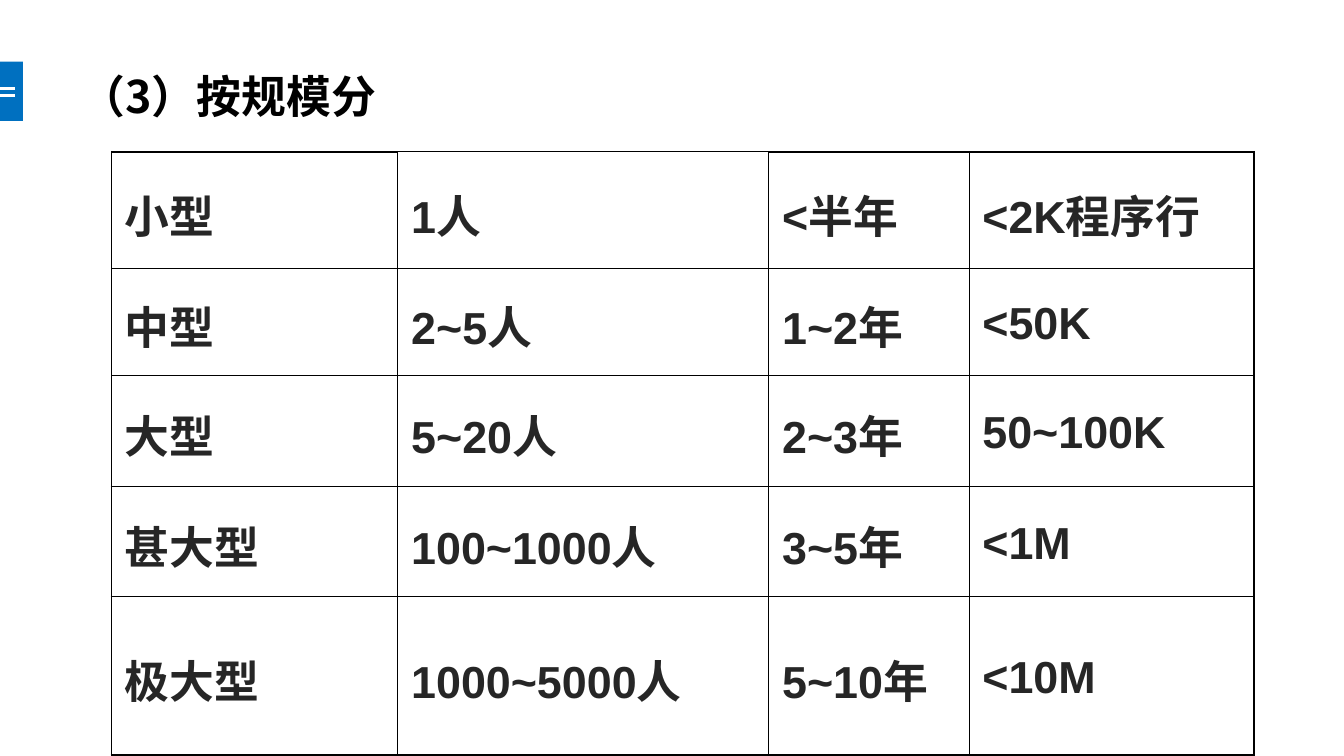
from dataclasses import dataclass

from lxml import etree
from pptx import Presentation
from pptx import util as u
from pptx.dml.color import RGBColor
from pptx.enum import shapes, text
from pptx.oxml import ns


@dataclass(frozen=True)
class Theme:
    accent: str = "0070C0"
    paper: str = "FFFFFF"
    ink: str = "000000"
    cell_ink: str = "262626"
    latin: str = "Arial"
    chinese: str = "Noto Sans CJK SC"
    size: float = 24
    thin: float = 0.45
    thick: float = 1.08
    mark: float = 1.5


@dataclass(frozen=True)
class ProjectSize:
    name: str
    people: str
    duration: str
    code: str
    height: float

    @property
    def values(self) -> tuple[str, ...]:
        return self.name, self.people, self.duration, self.code


THEME = Theme()
SLIDE_WIDTH = 10
SLIDE_HEIGHT = SLIDE_WIDTH * 9 / 16
COLUMN_WIDTHS = (2.13, 2.76, 1.49, 2.12)
PROJECT_SIZES = (
    ProjectSize("小型", "1人", "<半年", "<2K程序行", 0.87),
    ProjectSize("中型", "2~5人", "1~2年", "<50K", 0.79),
    ProjectSize("大型", "5~20人", "2~3年", "50~100K", 0.83),
    ProjectSize("甚大型", "100~1000人", "3~5年", "<1M", 0.82),
    ProjectSize("极大型", "1000~5000人", "5~10年", "<10M", 1.18),
)


def apply(target, values: dict) -> None:
    for name, value in values.items():
        setattr(target, name, value)


def write(paragraph, words: str, latin: str, color: str) -> None:
    paragraph.alignment = text.PP_ALIGN.LEFT
    run = paragraph.add_run()
    run.text = words
    apply(run.font, {"name": latin, "size": u.Pt(THEME.size), "bold": True})
    run.font.color.rgb = RGBColor.from_string(color)
    east_asian = etree.Element(ns.qn("a:ea"), typeface=THEME.chinese)
    run.font._element.find(ns.qn("a:latin")).addnext(east_asian)


def draw_marker(slide) -> None:
    box = map(u.Inches, (0, 0.46, 0.17, 0.44))
    shape = slide.shapes.add_shape(shapes.MSO_SHAPE.RECTANGLE, *box)
    shape.shadow.inherit = False
    shape.fill.solid()
    shape.fill.fore_color.rgb = RGBColor.from_string(THEME.accent)
    shape.line.fill.background()
    for y in (0.66, 0.71):
        ends = map(u.Inches, (0, y, 0.11, y))
        connector = slide.shapes.add_connector(shapes.MSO_CONNECTOR.STRAIGHT, *ends)
        connector.line.color.rgb = RGBColor.from_string(THEME.paper)
        connector.line.width = u.Pt(THEME.mark)
        etree.SubElement(connector._element.spPr, ns.qn("a:effectLst"))


def draw_title(slide, words: str) -> None:
    title = slide.shapes.title
    apply(title, {
        "left": u.Inches(0.5), "top": u.Inches(0.48),
        "width": u.Inches(8.33), "height": u.Inches(0.46),
    })
    apply(title.text_frame, {
        "word_wrap": True,
        "auto_size": text.MSO_AUTO_SIZE.NONE,
        "vertical_anchor": text.MSO_ANCHOR.MIDDLE,
    })
    write(title.text_frame.paragraphs[0], words, THEME.chinese, THEME.ink)


def draw_borders(cell, row: int, column: int) -> None:
    last_row, last_column = len(PROJECT_SIZES) - 1, len(COLUMN_WIDTHS) - 1
    heavy = {
        "lnL": column == 0 and row >= 2,
        "lnR": column == last_column,
        "lnT": row == 0 and column != 1,
        "lnB": row == last_row,
    }
    properties = cell._tc.get_or_add_tcPr()
    for position, (side, is_heavy) in enumerate(heavy.items()):
        width = u.Pt(THEME.thick if is_heavy else THEME.thin)
        border = etree.Element(ns.qn(f"a:{side}"), w=str(width))
        fill = etree.SubElement(border, ns.qn("a:solidFill"))
        etree.SubElement(fill, ns.qn("a:srgbClr"), val=THEME.ink)
        properties.insert(position, border)


def draw_cell(cell, words: str, row: int, column: int) -> None:
    apply(cell, {
        "vertical_anchor": text.MSO_ANCHOR.MIDDLE,
        "margin_left": u.Inches(0.1), "margin_right": u.Inches(0.1),
        "margin_top": u.Inches(0.05), "margin_bottom": u.Inches(0.05),
    })
    cell.fill.solid()
    cell.fill.fore_color.rgb = RGBColor.from_string(THEME.paper)
    paragraph = cell.text_frame.paragraphs[0]
    paragraph.line_spacing = 1.1
    write(paragraph, words, THEME.latin, THEME.cell_ink)
    draw_borders(cell, row, column)


def draw_table(slide) -> None:
    height = sum(project.height for project in PROJECT_SIZES)
    box = map(u.Inches, (0.83, 1.13, sum(COLUMN_WIDTHS), height))
    table = slide.shapes.add_table(len(PROJECT_SIZES), len(COLUMN_WIDTHS), *box).table
    apply(table, {"first_row": False, "horz_banding": False})
    for column, width in zip(table.columns, COLUMN_WIDTHS):
        column.width = u.Inches(width)
    for row, project in enumerate(PROJECT_SIZES):
        table.rows[row].height = u.Inches(project.height)
        for column, words in enumerate(project.values):
            draw_cell(table.cell(row, column), words, row, column)


def main() -> None:
    presentation = Presentation()
    apply(presentation, {
        "slide_width": u.Inches(SLIDE_WIDTH),
        "slide_height": u.Inches(SLIDE_HEIGHT),
    })
    slide = presentation.slides.add_slide(presentation.slide_layouts[5])
    draw_marker(slide)
    draw_title(slide, "（3）按规模分")
    draw_table(slide)
    presentation.save("out.pptx")


if __name__ == "__main__":
    main()
